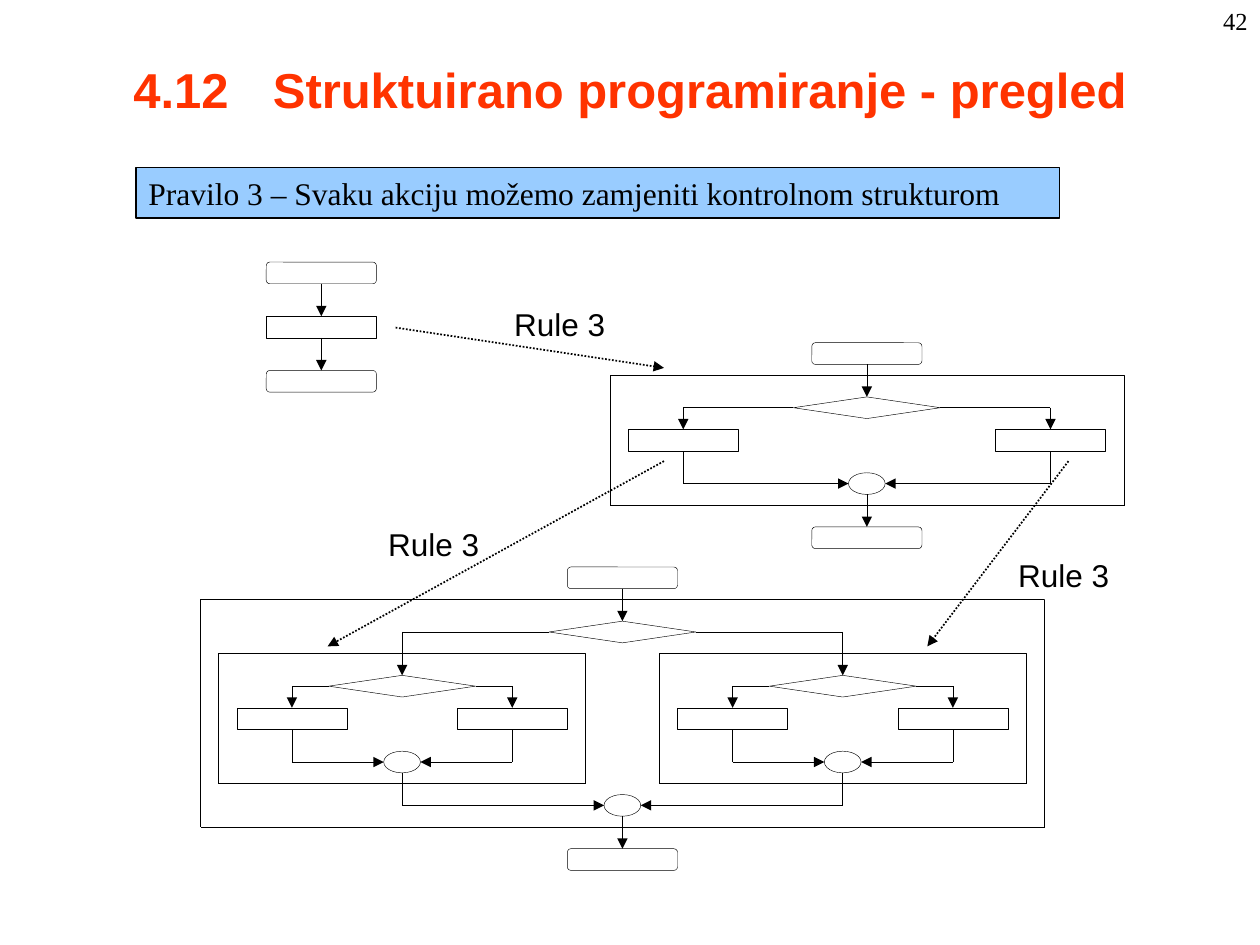
from dataclasses import dataclass

from lxml import etree
from pptx import Presentation
from pptx.dml.color import RGBColor
from pptx.enum.dml import MSO_LINE
from pptx.enum.shapes import MSO_CONNECTOR, MSO_SHAPE
from pptx.enum.text import MSO_ANCHOR, PP_ALIGN
from pptx.oxml.ns import qn
from pptx.util import Inches, Pt

RECT, ROUND = MSO_SHAPE.RECTANGLE, MSO_SHAPE.ROUNDED_RECTANGLE
DIAMOND, OVAL = MSO_SHAPE.DIAMOND, MSO_SHAPE.OVAL
STRAIGHT, DOTTED = MSO_CONNECTOR.STRAIGHT, MSO_LINE.ROUND_DOT
LEFT, CENTER, RIGHT = PP_ALIGN.LEFT, PP_ALIGN.CENTER, PP_ALIGN.RIGHT
TOP, MIDDLE = MSO_ANCHOR.TOP, MSO_ANCHOR.MIDDLE


@dataclass(frozen=True)
class Theme:
    ink: str = "000000"
    title: str = "FF3300"
    banner: str = "99CCFF"
    paper: str = "FFFFFF"
    sans: str = "Arial"
    serif: str = "Times New Roman"
    title_size: int = 28
    body_size: int = 18
    number_size: int = 14
    thin: float = 0.25
    border: float = 0.75
    dotted: float = 1


THEME = Theme()
WIDTH, HEIGHT = 10, 7.5
COL, ROW = 1.02 / 7, 0.43 / 5
STEP = 3
PADDING = (0.1, 0.05)

TITLE = "4.12\t Struktuirano programiranje - pregled"
RULE = "Pravilo 3 – Svaku akciju možemo zamjeniti kontrolnom strukturom"
PAGE = "42"

ACTION = {}
SIMPLE_CHOICE = {"spread": 6, "branch": ACTION}
FLOWCHARTS = [
    {"center": 2.55, "top": 2.08, "body": ACTION},
    {"center": 6.88, "top": 2.72, "body": {"spread": 10, "branch": ACTION}},
    {"center": 4.94, "top": 4.5, "body": {"spread": 12, "branch": SIMPLE_CHOICE}},
]
SUBSTITUTIONS = [
    ("Rule 3", (4.08, 2.42), (3.14, 2.6), (5.27, 2.92)),
    ("Rule 3", (8.08, 4.41), (8.48, 3.66), (7.36, 5.13)),
    ("Rule 3", (3.08, 4.17), (5.27, 3.66), (2.6, 5.13)),
]

deck = Presentation()
deck.slide_width, deck.slide_height = Inches(WIDTH), Inches(HEIGHT)
slide = deck.slides.add_slide(deck.slide_layouts[6])


def color(value):
    return RGBColor.from_string(value)


def write(shape, text, font, size, ink, align=LEFT, anchor=TOP,
          padding=PADDING, bold=False):
    frame = shape.text_frame
    frame.word_wrap = True
    frame.vertical_anchor = anchor
    frame.margin_left = frame.margin_right = Inches(padding[0])
    frame.margin_top = frame.margin_bottom = Inches(padding[1])
    paragraph = frame.paragraphs[0]
    paragraph.alignment = align
    run = paragraph.add_run()
    run.text = text
    run.font.name, run.font.size, run.font.bold = font, Pt(size), bold
    run.font.color.rgb = color(ink)


def text_box(area, *args, **options):
    box = slide.shapes.add_textbox(*map(Inches, area))
    write(box, *args, **options)


def outline(kind, area, width=THEME.thin, fill=None, dash=None):
    shape = slide.shapes.add_shape(kind, *map(Inches, area))
    shape.shadow.inherit = False
    if fill:
        shape.fill.solid()
        shape.fill.fore_color.rgb = color(fill)
    else:
        shape.fill.background()
    shape.line.color.rgb = color(THEME.ink)
    shape.line.width = Pt(width)
    if dash:
        shape.line.dash_style = dash
    return shape


def link(start, end, arrow=False, width=THEME.thin, dash=None):
    line = slide.shapes.add_connector(STRAIGHT, *map(Inches, start + end))
    line.line.color.rgb = color(THEME.ink)
    line.line.width = Pt(width)
    if dash:
        line.line.dash_style = dash
    properties = line._element.spPr
    if arrow:
        etree.SubElement(properties.find(qn("a:ln")), qn("a:tailEnd"), type="triangle")
    etree.SubElement(properties, qn("a:effectLst"))


class Flowchart:
    def __init__(self, center, top, body):
        self.center, self.top = center, top
        self.node(ROUND, 0, 0, 3)
        self.edge((0, 2), (0, 2 + STEP), True)
        leave, _ = self.block(body, 0, 2 + STEP)
        self.edge((0, leave), (0, leave + STEP), True)
        self.node(ROUND, 0, leave + STEP, 3)

    def point(self, col, row):
        return self.center + col * COL, self.top + row * ROW

    def node(self, kind, col, row, half, rows=2, **style):
        left, top = self.point(col - half, row)
        outline(kind, (left, top, 2 * half * COL, rows * ROW), **style)

    def edge(self, start, end, arrow=False):
        link(self.point(*start), self.point(*end), arrow)

    def block(self, body, col, entry):
        if not body:
            self.node(RECT, col, entry, 3)
            return entry + 2, 3
        self.node(DIAMOND, col, entry, 4, fill=THEME.paper)
        branch = body["branch"]
        child_entry = entry + STEP + (2 if branch else 0)
        for side in (-1, 1):
            child_col = col + side * body["spread"]
            self.edge((col + side * 4, entry + 1), (child_col, entry + 1))
            self.edge((child_col, entry + 1), (child_col, child_entry), True)
            leave, half = self.block(branch, child_col, child_entry)
            join = leave + STEP
            self.edge((child_col, leave), (child_col, join))
            self.edge((child_col, join), (col + side, join), True)
        self.node(OVAL, col, join - 1, 1)
        half += body["spread"] + 1
        self.node(RECT, col, entry - 2, half, join + 4 - entry, dash=DOTTED)
        return join + 1, half


text_box((0.75, 0.08, 8.5, 1.25), TITLE, THEME.sans, THEME.title_size,
         THEME.title, align=CENTER, anchor=MIDDLE, bold=True)

for flowchart in FLOWCHARTS:
    Flowchart(**flowchart)

for label, corner, start, end in SUBSTITUTIONS:
    link(start, end, True, THEME.dotted, DOTTED)
    text_box(corner + (0.75, 0.17), label, THEME.sans, THEME.body_size,
             THEME.ink, padding=(0, 0))

banner = outline(RECT, (1.08, 1.33, 7.33, 0.4), THEME.border, THEME.banner)
write(banner, RULE, THEME.serif, THEME.body_size, THEME.ink, anchor=MIDDLE)
text_box((7.92, 0, 2.08, 0.5), PAGE, THEME.serif, THEME.number_size,
         THEME.ink, align=RIGHT)

deck.save("out.pptx")
